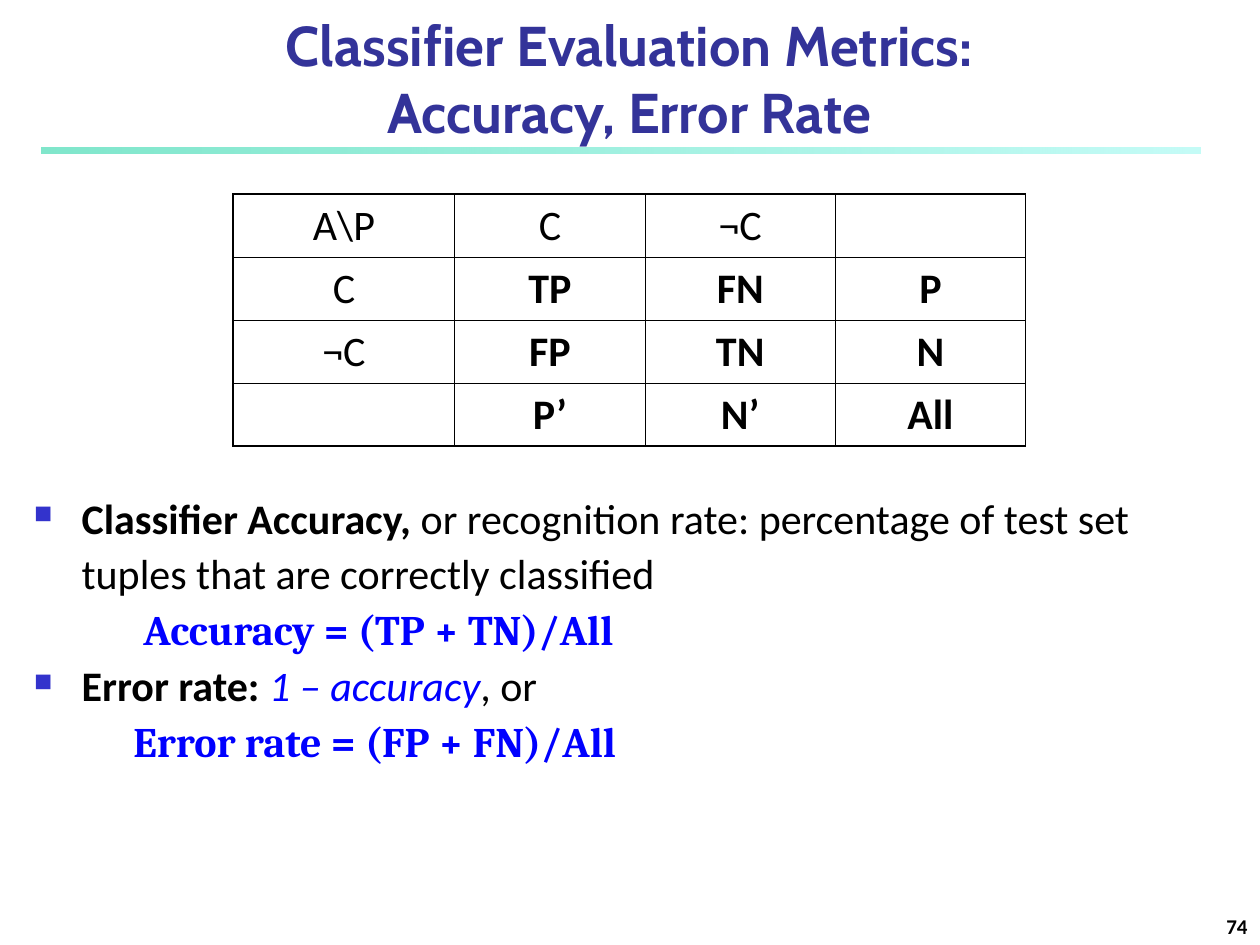
from dataclasses import dataclass

from lxml.etree import SubElement
from pptx import Presentation
from pptx.dml.color import RGBColor
from pptx.enum.shapes import MSO_SHAPE
from pptx.enum.text import MSO_ANCHOR, MSO_AUTO_SIZE, PP_ALIGN
from pptx.oxml.ns import qn
from pptx.util import Inches, Pt

COLORS = {
    "title": "333399",
    "text": "000000",
    "formula": "0000FF",
    "bullet": "3333CC",
    "bar_start": "00CE98",
    "bar_end": "8FF9EF",
}
MATRIX = [
    ["A\\P", "C", "¬C", ""],
    ["C", "TP", "FN", "P"],
    ["¬C", "FP", "TN", "N"],
    ["", "P’", "N’", "All"],
]
OUTER_PT, INNER_PT = 1.08, 0.45


@dataclass
class Run:
    text: str
    bold: bool = False
    italic: bool = False
    color: str = "text"
    font: str = "Calibri"


@dataclass
class Line:
    runs: list[Run]
    margin: float = 0.38
    bullet: bool = True


def formula(text: str, margin: float) -> Line:
    return Line([Run(text, bold=True, color="formula", font="Cambria")], margin, False)


BODY = [
    Line([
        Run("Classifier Accuracy, ", bold=True),
        Run("or recognition rate: percentage of test set tuples that are correctly classified"),
    ]),
    formula("Accuracy = (TP + TN)/All", 0.87),
    Line([
        Run("Error rate: ", bold=True),
        Run("1 – accuracy", italic=True, color="formula"),
        Run(", or"),
    ]),
    formula("Error rate = (FP + FN)/All", 0.79),
]


def rgb(name: str) -> RGBColor:
    return RGBColor.from_string(COLORS[name])


def add_text(p, text: str, *, size=24, font="Calibri", color="text",
             bold=False, italic=False) -> None:
    r = p.add_run()
    r.text = text
    r.font.size = Pt(size)
    r.font.name = font
    r.font.color.rgb = rgb(color)
    r.font.bold = bold
    r.font.italic = italic


def add_bar(s) -> None:
    bar = s.shapes.add_shape(MSO_SHAPE.RECTANGLE, Inches(0.33), Inches(1.17),
                             Inches(9.2), Inches(0.05))
    bar.shadow.inherit = False
    bar.line.fill.background()
    bar.fill.gradient()
    bar.fill.gradient_angle = 0
    stops = [(0, "bar_start", 50), (1, "bar_end", 52)]
    for stop, (position, color, opacity) in zip(bar.fill.gradient_stops, stops):
        stop.position = position
        stop.color.rgb = rgb(color)
    for clr, (_, _, opacity) in zip(bar._element.spPr.iter(qn("a:srgbClr")), stops):
        SubElement(clr, qn("a:alpha"), val=str(opacity * 1000))


def format_title(s) -> None:
    title = s.shapes.title
    title.left, title.top = Inches(0.4), Inches(0.13)
    title.width, title.height = Inches(9.19), Inches(1.04)
    tf = title.text_frame
    tf.auto_size = MSO_AUTO_SIZE.NONE
    tf.vertical_anchor = MSO_ANCHOR.BOTTOM
    tf.margin_bottom = Inches(0.02)
    p = tf.paragraphs[0]
    p.alignment = PP_ALIGN.CENTER
    style = dict(size=32, font="Cabin", color="title", bold=True)
    add_text(p, "Classifier Evaluation Metrics:", **style)
    p.add_line_break()
    add_text(p, "Accuracy, Error Rate", **style)


def add_textbox(s, left: float, top: float, width: float, height: float):
    tf = s.shapes.add_textbox(Inches(left), Inches(top),
                              Inches(width), Inches(height)).text_frame
    tf.word_wrap = True
    return tf


def set_indent(p, line: Line) -> None:
    pPr = p._p.get_or_add_pPr()
    pPr.set("marL", str(Inches(line.margin)))
    pPr.set("indent", str(-Inches(line.margin) if line.bullet else 0))
    if line.bullet:
        clr = SubElement(pPr, qn("a:buClr"))
        SubElement(clr, qn("a:srgbClr"), val=COLORS["bullet"])
        SubElement(pPr, qn("a:buSzPct"), val="60000")
        SubElement(pPr, qn("a:buChar"), char="■")
    else:
        SubElement(pPr, qn("a:buNone"))


def add_body(s) -> None:
    tf = add_textbox(s, 0.17, 3.82, 8.96, 2.39)
    for i, line in enumerate(BODY):
        p = tf.add_paragraph() if i else tf.paragraphs[0]
        p.line_spacing = 1.1
        if i:
            p.space_before = Pt(0.3)
        set_indent(p, line)
        for run in line.runs:
            add_text(p, run.text, font=run.font, color=run.color,
                     bold=run.bold, italic=run.italic)


def set_borders(cell, widths: dict[str, float]) -> None:
    tcPr = cell._tc.get_or_add_tcPr()
    for i, (side, width) in enumerate(widths.items()):
        ln = tcPr.makeelement(qn(f"a:{side}"), {"w": str(Pt(width))})
        fill = SubElement(ln, qn("a:solidFill"))
        SubElement(fill, qn("a:srgbClr"), val=COLORS["text"])
        tcPr.insert(i, ln)


def add_matrix(s) -> None:
    last = len(MATRIX) - 1
    table = s.shapes.add_table(len(MATRIX), len(MATRIX[0]), Inches(1.85), Inches(1.54),
                               Inches(6.3), Inches(2)).table
    table.first_row = table.horz_banding = False
    for col, width in zip(table.columns, [1.76, 1.51, 1.51, 1.51]):
        col.width = Inches(width)
    for i, row in enumerate(MATRIX):
        for j, text in enumerate(row):
            cell = table.cell(i, j)
            cell.fill.background()
            outer = {"lnL": j == 0, "lnR": j == last, "lnT": i == 0, "lnB": i == last}
            set_borders(cell, {side: OUTER_PT if edge else INNER_PT
                               for side, edge in outer.items()})
            p = cell.text_frame.paragraphs[0]
            p.alignment = PP_ALIGN.CENTER
            if text:
                add_text(p, text, bold=i > 0 and j > 0)


def add_page_number(s) -> None:
    tf = add_textbox(s, 7.92, 7.08, 2.08, 0.42)
    tf.vertical_anchor = MSO_ANCHOR.BOTTOM
    p = tf.paragraphs[0]
    p.alignment = PP_ALIGN.RIGHT
    add_text(p, "74", size=12, bold=True)


def main() -> None:
    prs = Presentation()
    prs.slide_width, prs.slide_height = Inches(10), Inches(7.5)
    s = prs.slides.add_slide(prs.slide_layouts[5])
    add_bar(s)
    format_title(s)
    add_body(s)
    add_matrix(s)
    add_page_number(s)
    prs.save("out.pptx")


if __name__ == "__main__":
    main()
